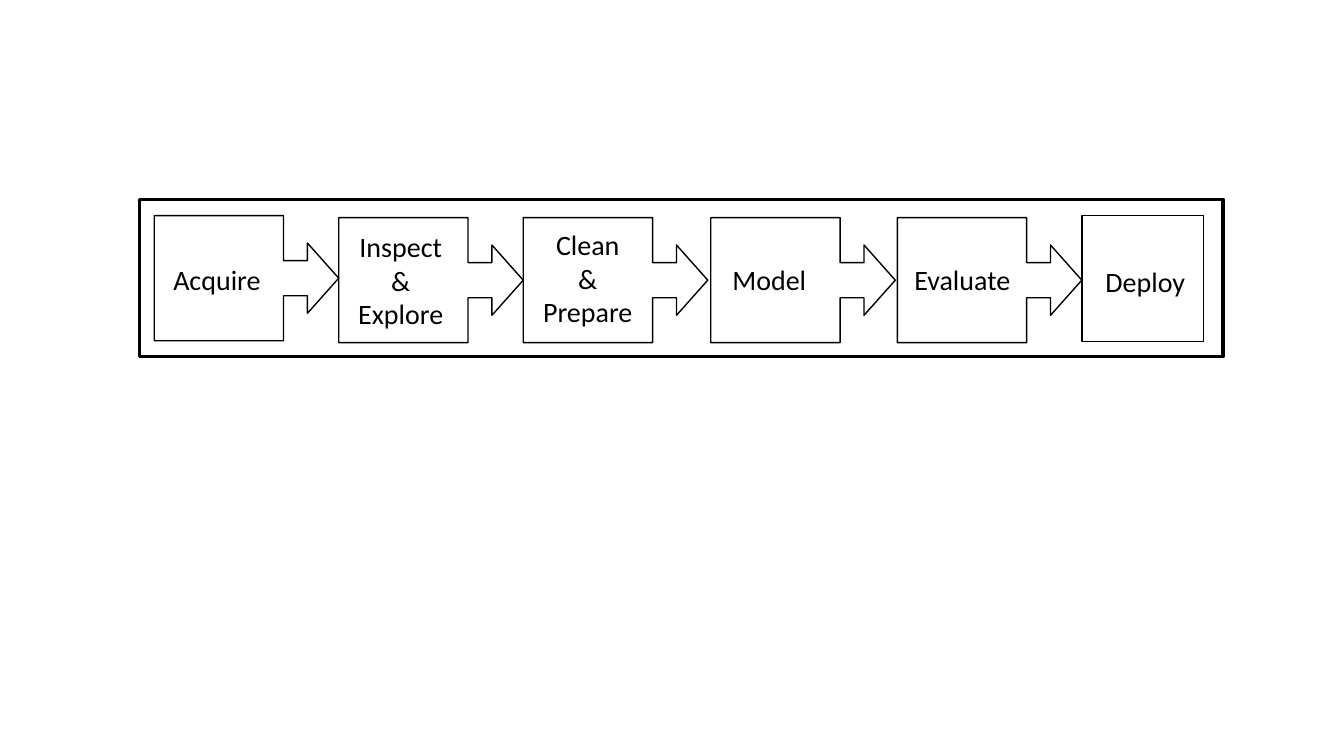
from pptx import Presentation
from pptx.dml.color import RGBColor
from pptx.enum.shapes import MSO_SHAPE
from pptx.enum.text import MSO_AUTO_SIZE, PP_ALIGN
from pptx.util import Inches, Pt

RECTANGLE = MSO_SHAPE.RECTANGLE
ARROW_CALLOUT = MSO_SHAPE.RIGHT_ARROW_CALLOUT
LEFT, CENTER = PP_ALIGN.LEFT, PP_ALIGN.CENTER
FIT_TEXT = MSO_AUTO_SIZE.SHAPE_TO_FIT_TEXT
BLANK_LAYOUT = 6
BLACK = "000000"
FONT = "Calibri"
CALLOUT_ADJUSTMENTS = (0.281, 0.281, 0.25, 0.701)

# Steps that lead on: callout left and top, label, label box, alignment
CALLOUT_SIZE = (1.83, 1.24)
STEPS = [
    (1.53, 2.14, "Acquire", (1.62, 2.56, 1.08, 0.44), LEFT),
    (3.36, 2.16, "Inspect\n&\nExplore", (3.45, 2.23, 1.05, 1.11), CENTER),
    (5.19, 2.16, "Clean\n&\nPrepare", (5.28, 2.21, 1.1, 1.11), CENTER),
    (7.05, 2.16, "Model", (7.16, 2.56, 0.94, 0.44), CENTER),
    (8.9, 2.16, "Evaluate", (8.96, 2.56, 1.17, 0.44), CENTER),
]


def color(hex_string):
    return RGBColor.from_string(hex_string)


def add_outline(group, kind, box, line_width, adjustments=()):
    """Add an unfilled shape with a black outline."""
    outline = group.shapes.add_shape(kind, *map(Inches, box))
    outline.shadow.inherit = False
    outline.fill.background()
    outline.line.color.rgb = color(BLACK)
    outline.line.width = Pt(line_width)
    for index, value in enumerate(adjustments):
        outline.adjustments[index] = value


def add_label(group, text, box, alignment=CENTER):
    """Add a step name, one paragraph per line."""
    frame = group.shapes.add_textbox(*map(Inches, box)).text_frame
    frame.text = text
    frame.word_wrap = False
    frame.auto_size = FIT_TEXT
    for paragraph in frame.paragraphs:
        paragraph.alignment = alignment
        for run in paragraph.runs:
            run.font.name = FONT
            run.font.size = Pt(20)
            run.font.color.rgb = color(BLACK)


def main():
    presentation = Presentation()
    presentation.slide_width = Inches(13.33)
    presentation.slide_height = Inches(7.5)
    slide = presentation.slides.add_slide(presentation.slide_layouts[BLANK_LAYOUT])
    pipeline = slide.shapes.add_group_shape()

    # Frame around the pipeline
    add_outline(pipeline, RECTANGLE, (1.38, 1.98, 10.75, 1.56), 2.25)

    # Steps with an arrow to the next one
    for left, top, name, label_box, alignment in STEPS:
        add_outline(pipeline, ARROW_CALLOUT, (left, top, *CALLOUT_SIZE), 1,
                    CALLOUT_ADJUSTMENTS)
        add_label(pipeline, name, label_box, alignment)

    # Final step
    add_outline(pipeline, RECTANGLE, (10.73, 2.14, 1.21, 1.25), 1)
    add_label(pipeline, "Deploy", (10.86, 2.57, 1, 0.44))

    presentation.save("out.pptx")


if __name__ == "__main__":
    main()
